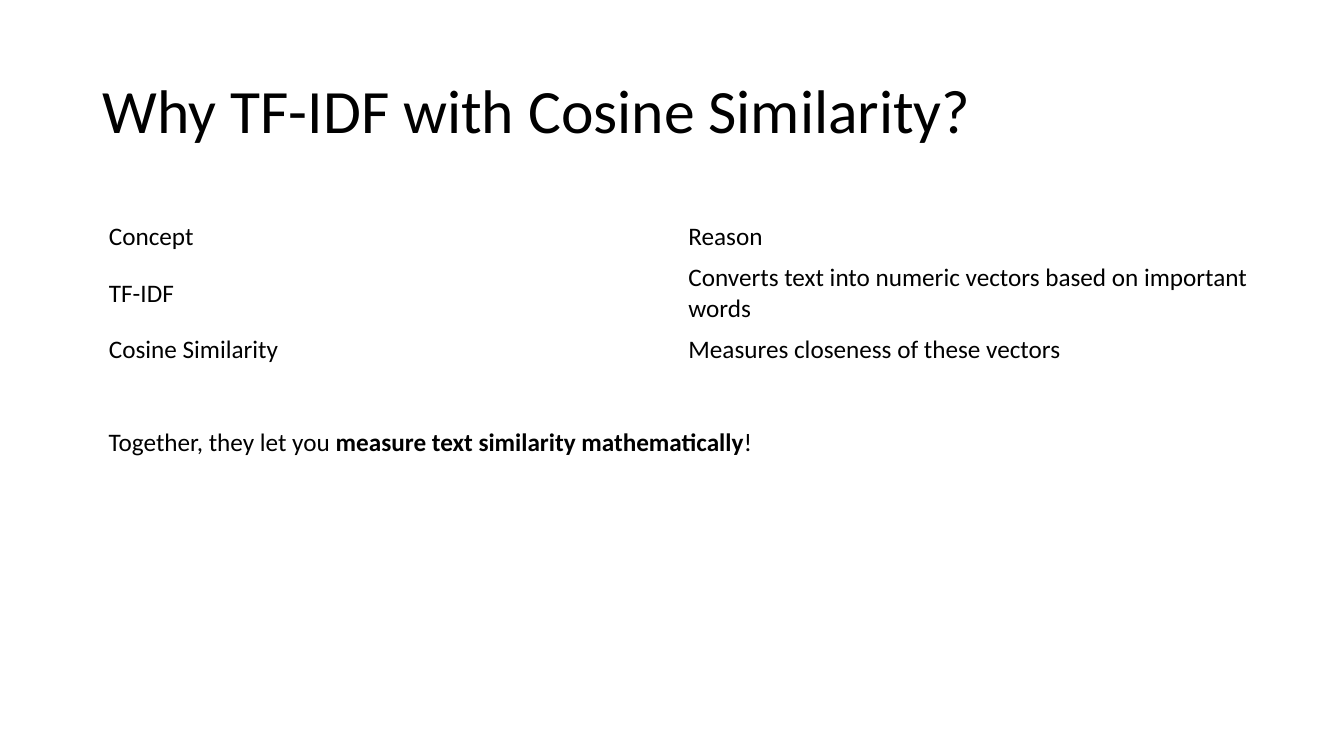
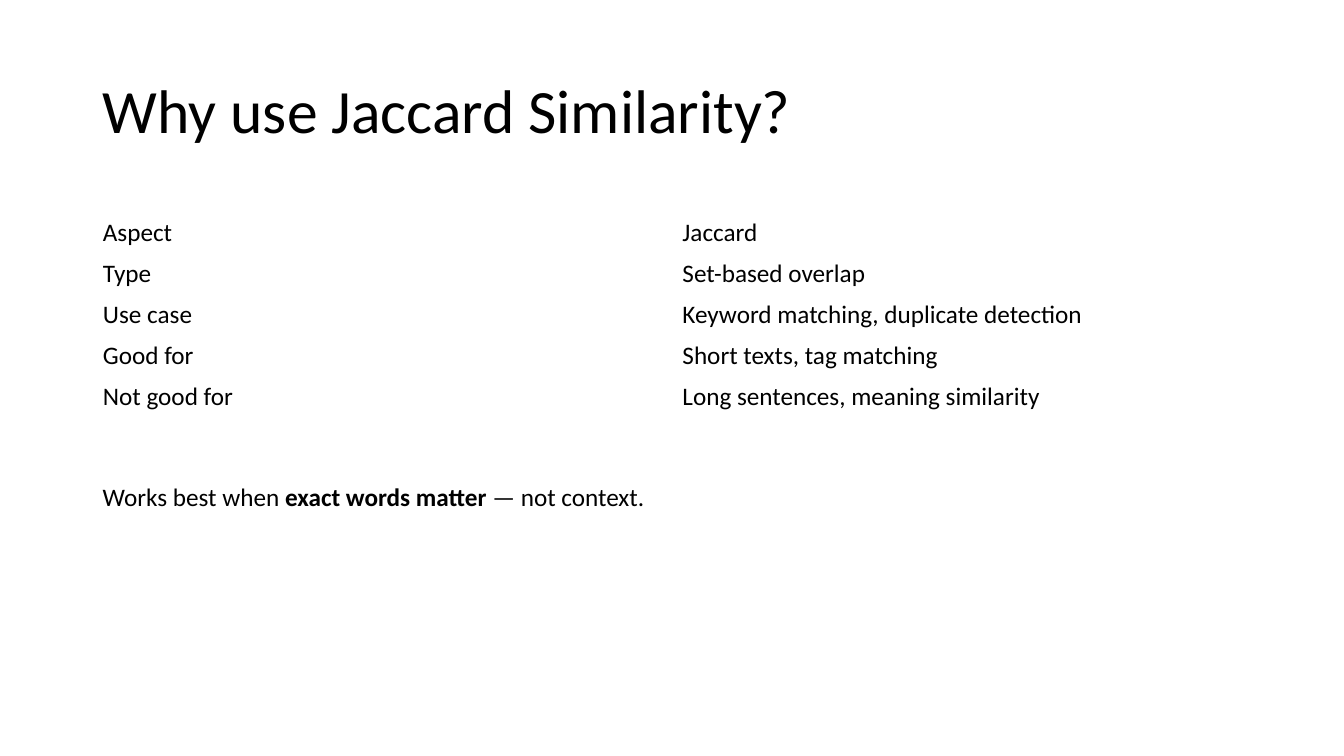
from pptx import Presentation
from pptx.dml.color import RGBColor
from pptx.enum.text import MSO_ANCHOR as Anchor, MSO_AUTO_SIZE as AutoSize, PP_ALIGN as Align
from pptx.util import Cm, Pt

COLORS = {"text": "000000", "background": "FFFFFF"}
FONT = "Calibri"
TITLE_SIZE, BODY_SIZE = 44, 18
TITLE_BOX = (2.34, 1.02, 29.21, 3.68)
TABLE_WIDTH = 29.21
LINE_HEIGHT, CELL_PADDING = 0.76, 0.26
TAKEAWAY_HEIGHT = 1.02

SLIDES = [
    {
        "title": "Why TF-IDF with Cosine Similarity?",
        "rows": [
            ("Concept", "Reason"),
            ("TF-IDF", "Converts text into numeric vectors based on important words"),
            ("Cosine Similarity", "Measures closeness of these vectors"),
        ],
        "row_lines": (1, 2, 1),
        "table_at": (2.49, 5.46),
        "takeaway": ("Together, they let you ", "measure text similarity mathematically", "!"),
        "takeaway_top": 10.62,
        "takeaway_width": 16.89,
    },
    {
        "title": "Why use Jaccard Similarity?",
        "rows": [
            ("Aspect", "Jaccard"),
            ("Type", "Set-based overlap"),
            ("Use case", "Keyword matching, duplicate detection"),
            ("Good for", "Short texts, tag matching"),
            ("Not good for", "Long sentences, meaning similarity"),
        ],
        "row_lines": (1, 1, 1, 1, 1),
        "table_at": (2.34, 5.36),
        "takeaway": ("Works best when ", "exact words matter", " — not context."),
        "takeaway_top": 12.01,
        "takeaway_width": 14.3,
    },
]


def style_run(run, size, bold=False):
    run.font.name = FONT
    run.font.size = Pt(size)
    run.font.bold = bold
    run.font.color.rgb = RGBColor.from_string(COLORS["text"])


def add_title(slide, text):
    title = slide.shapes.title
    title.left, title.top, title.width, title.height = map(Cm, TITLE_BOX)
    frame = title.text_frame
    frame.text = text
    frame.vertical_anchor = Anchor.MIDDLE
    frame.auto_size = AutoSize.NONE
    line = frame.paragraphs[0]
    line.alignment = Align.LEFT
    line.line_spacing = 0.9
    style_run(line.runs[0], TITLE_SIZE)


def add_comparison(slide, rows, row_lines, left, top):
    heights = [Cm(lines * LINE_HEIGHT + CELL_PADDING) for lines in row_lines]
    columns = len(rows[0])
    table = slide.shapes.add_table(
        len(rows), columns, Cm(left), Cm(top), Cm(TABLE_WIDTH), sum(heights)
    ).table
    table.first_row = table.horz_banding = False
    for column in table.columns:
        column.width = Cm(TABLE_WIDTH / columns)
    for row, height, texts in zip(table.rows, heights, rows):
        row.height = height
        for cell, text in zip(row.cells, texts):
            cell.text_frame.text = text
            cell.vertical_anchor = Anchor.MIDDLE
            cell.fill.background()
            style_run(cell.text_frame.paragraphs[0].runs[0], BODY_SIZE)


def add_takeaway(slide, parts, left, top, width):
    frame = slide.shapes.add_textbox(
        Cm(left), Cm(top), Cm(width), Cm(TAKEAWAY_HEIGHT)
    ).text_frame
    frame.word_wrap = False
    frame.auto_size = AutoSize.SHAPE_TO_FIT_TEXT
    for index, part in enumerate(parts):
        run = frame.paragraphs[0].add_run()
        run.text = part
        style_run(run, BODY_SIZE, bold=index == 1)


def main():
    deck = Presentation()
    deck.slide_width, deck.slide_height = Cm(33.87), Cm(19.05)
    backdrop = deck.slide_master.background.fill
    backdrop.solid()
    backdrop.fore_color.rgb = RGBColor.from_string(COLORS["background"])
    title_only = deck.slide_layouts[5]
    for content in SLIDES:
        slide = deck.slides.add_slide(title_only)
        left, top = content["table_at"]
        add_title(slide, content["title"])
        add_comparison(slide, content["rows"], content["row_lines"], left, top)
        add_takeaway(
            slide, content["takeaway"], left, content["takeaway_top"], content["takeaway_width"]
        )
    deck.save("out.pptx")


if __name__ == "__main__":
    main()
